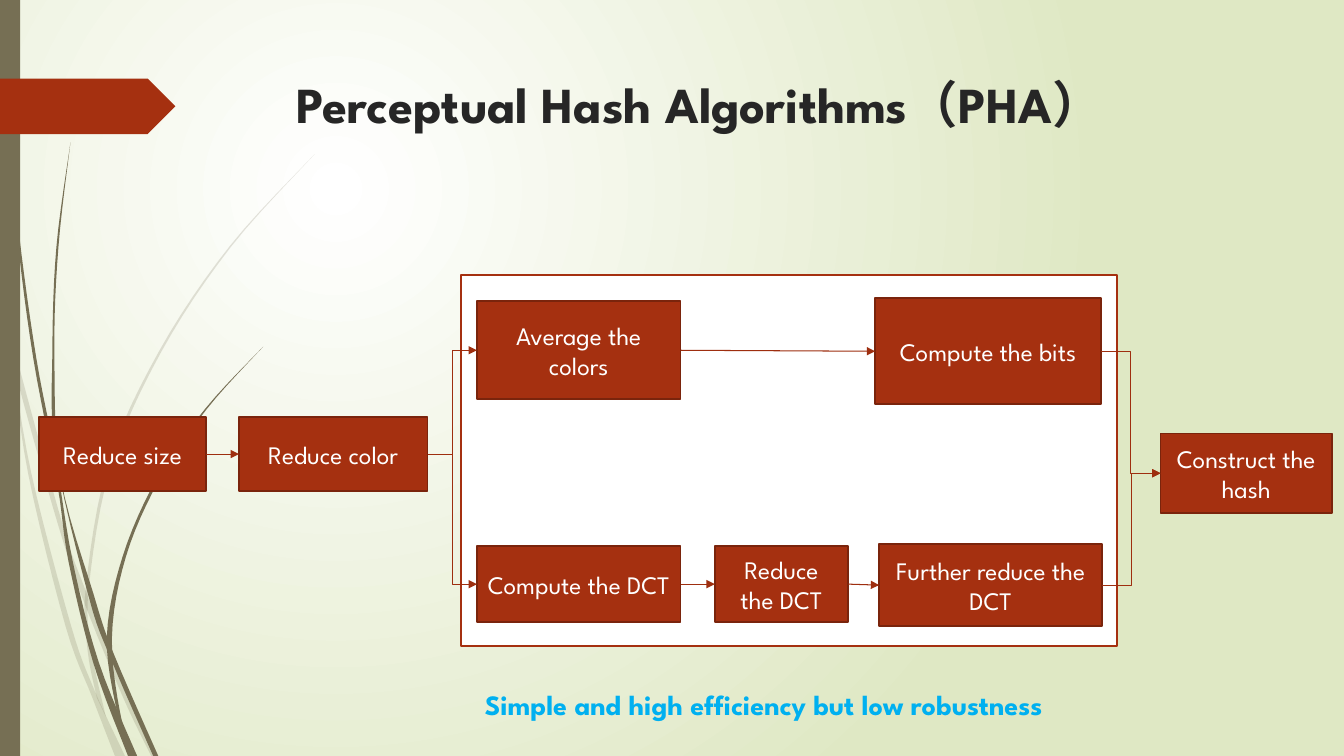
"""Builds the slide on perceptual hash algorithms as a flow chart."""
import dataclasses

import lxml.etree
import pptx
import pptx.dml.color
import pptx.enum.dml
import pptx.enum.shapes
import pptx.enum.text
import pptx.oxml.ns
import pptx.util

Inches = pptx.util.Inches
qn = pptx.oxml.ns.qn
SHAPES = pptx.enum.shapes.MSO_SHAPE
CONNECTORS = pptx.enum.shapes.MSO_CONNECTOR
ALIGN = pptx.enum.text.PP_ALIGN
ANCHOR = pptx.enum.text.MSO_ANCHOR


@dataclasses.dataclass(frozen=True)
class Theme:
    """Colours, font and type sizes."""
    font: str = "League Spartan"
    title_size: int = 36
    note_size: int = 20
    box_size: int = 18
    title: str = "262626"
    note: str = "00B0F0"
    white: str = "FFFFFF"
    backdrop: str = "DFE8C4"
    stem: str = "766F54"
    accent: str = "A53010"
    box_edge: str = "7A240C"
    arrow: str = "9E2E0F"


def rgb(value):
    """Turn a hexadecimal string into a colour."""
    return pptx.dml.color.RGBColor.from_string(value)


def write_text(shape, text, *, font, size, color, bold=False, align=ALIGN.LEFT, anchor=ANCHOR.TOP):
    """Write one formatted paragraph into a shape."""
    frame = shape.text_frame
    frame.word_wrap = True
    frame.vertical_anchor = anchor
    paragraph = frame.paragraphs[0]
    paragraph.alignment = align
    run = paragraph.add_run()
    run.text = text
    run.font.name = font
    run.font.size = pptx.util.Pt(size)
    run.font.bold = bold
    run.font.color.rgb = rgb(color)


def smooth_curve(points, steps=6):
    """Sample a Catmull-Rom curve through the points."""
    padded = [points[0], *points, points[-1]]
    curve = [points[0]]
    for a, b, c, d in zip(padded, padded[1:], padded[2:], padded[3:]):
        for step in range(1, steps + 1):
            t = step / steps
            curve.append(tuple(
                (2 * q + (r - p) * t + (2 * p - 5 * q + 4 * r - s) * t ** 2
                 + (3 * q - p - 3 * r + s) * t ** 3) / 2
                for p, q, r, s in zip(a, b, c, d)))
    return curve


class SlideBuilder:
    """Holds the theme and the current slide."""

    def __init__(self, slide, theme):
        self.slide = slide
        self.theme = theme

    def background(self):
        """Fill the background with a radial gradient."""
        fill = self.slide.background.fill
        fill.gradient()
        colors = (self.theme.white, self.theme.backdrop)
        for stop, color, position in zip(fill.gradient_stops, colors, (0, 1)):
            stop.color.rgb = rgb(color)
            stop.position = position
        linear = self.slide.element.find(".//" + qn("a:lin"))
        gradient = linear.getparent()
        gradient.remove(linear)
        circle = lxml.etree.SubElement(gradient, qn("a:path"), {"path": "circle"})
        lxml.etree.SubElement(circle, qn("a:fillToRect"),
                              {"l": "50000", "t": "50000", "r": "100000", "b": "100000"})

    def paint(self, shape, fill, edge=None):
        """Set a flat fill and an optional outline."""
        shape.shadow.inherit = False
        shape.fill.solid()
        shape.fill.fore_color.rgb = rgb(fill)
        if edge:
            shape.line.color.rgb = rgb(edge)
            shape.line.width = pptx.util.Pt(1.25)
        else:
            shape.line.fill.background()

    def shape(self, kind, bounds, fill, edge=None):
        """Add a preset shape."""
        shape = self.slide.shapes.add_shape(kind, *map(Inches, bounds))
        self.paint(shape, fill, edge)
        return shape

    def stem(self, right_side, left_side, opacity=None):
        """Add a curved, tapered grass stem."""
        outline = [(Inches(x), Inches(y))
                   for x, y in smooth_curve(right_side) + smooth_curve(left_side)]
        builder = self.slide.shapes.build_freeform(*outline[0])
        builder.add_line_segments(outline[1:], close=True)
        shape = builder.convert_to_shape()
        self.paint(shape, self.theme.stem)
        if opacity:
            color = shape.element.spPr.find(qn("a:solidFill"))[0]
            lxml.etree.SubElement(color, qn("a:alpha"), {"val": str(opacity * 1000)})

    def title(self, text, bounds):
        """Place and fill the title placeholder."""
        title = self.slide.shapes.title
        title.left, title.top, title.width, title.height = map(Inches, bounds)
        write_text(title, text, font=self.theme.font, size=self.theme.title_size,
                   color=self.theme.title, bold=True)

    def note(self, text, bounds):
        """Add a highlighted line of text."""
        box = self.slide.shapes.add_textbox(*map(Inches, bounds))
        write_text(box, text, font=self.theme.font, size=self.theme.note_size,
                   color=self.theme.note, bold=True)

    def box(self, text, bounds):
        """Add a labelled step."""
        box = self.shape(SHAPES.RECTANGLE, bounds, self.theme.accent, self.theme.box_edge)
        write_text(box, text, font=self.theme.font, size=self.theme.box_size,
                   color=self.theme.white, align=ALIGN.CENTER, anchor=ANCHOR.MIDDLE)
        return box

    def arrow(self, source, target, kind=CONNECTORS.STRAIGHT):
        """Join the right side of one step to the left side of the next."""
        connector = self.slide.shapes.add_connector(kind, 0, 0, 0, 0)
        connector.begin_connect(source, 3)
        connector.end_connect(target, 1)
        connector.line.color.rgb = rgb(self.theme.arrow)
        connector.line.width = pptx.util.Pt(0.75)
        properties = connector.element.spPr
        lxml.etree.SubElement(properties.find(qn("a:ln")), qn("a:tailEnd"), {"type": "triangle"})
        lxml.etree.SubElement(properties, qn("a:effectLst"))


PALE_STEMS = [
    ([(0, 2.82), (0.14, 3.45), (0.62, 5.2), (0.85, 5.86), (1.27, 6.92), (1.55, 7.5)],
     [(1.5, 7.5), (1.23, 6.94), (0.84, 5.99), (0.58, 5.22), (0.17, 3.76), (0, 2.99)]),
    ([(0.11, 3.5), (0.31, 4.69), (0.7, 6.19), (0.93, 6.83), (1.24, 7.5)],
     [(1.14, 7.5), (0.92, 6.93), (0.65, 6.21), (0.28, 4.7), (0.11, 3.5)]),
    ([(3.12, 1.53), (2.29, 2.45), (1.6, 3.49), (1.1, 4.62), (0.88, 5.84), (0.91, 6.46), (1.05, 7.11)],
     [(0.96, 6.92), (0.87, 6.46), (0.85, 5.84), (1.07, 4.61), (1.58, 3.48), (2.28, 2.44), (3.12, 1.53)]),
]
DARK_STEMS = [
    ([(0.04, 0), (0.08, 1.09), (0.19, 2.32), (0.36, 3.55), (0.55, 4.53), (0.72, 5.56), (0.98, 6.57),
      (1.36, 7.5)],
     [(1.27, 7.5), (0.93, 6.59), (0.68, 5.57), (0.57, 4.81), (0.33, 3.55), (0.17, 2.33), (0.07, 1.1),
      (0.03, 0)]),
    ([(0.7, 1.41), (0.58, 2.45), (0.54, 3.49), (0.6, 4.72), (0.93, 5.9), (1.13, 6.49), (1.57, 7.5)],
     [(1.52, 7.5), (1.11, 6.56), (0.88, 5.92), (0.55, 4.49), (0.52, 3.49), (0.56, 2.45), (0.7, 1.41)]),
    ([(2.61, 3.44), (2.05, 4.06), (1.58, 4.76), (1.25, 5.52), (1.11, 6.33), (1.21, 7.16), (1.36, 7.5)],
     [(1.3, 7.5), (1.16, 7.06), (1.06, 6.31), (1.22, 5.51), (1.56, 4.74), (2.04, 4.05), (2.61, 3.44)]),
]


def main():
    """Build and save the slide."""
    presentation = pptx.Presentation()
    presentation.slide_width, presentation.slide_height = Inches(13.33), Inches(7.5)
    theme = Theme()
    builder = SlideBuilder(presentation.slides.add_slide(presentation.slide_layouts[5]), theme)
    builder.background()
    for sides in PALE_STEMS:
        builder.stem(*sides, opacity=20)
    for sides in DARK_STEMS:
        builder.stem(*sides)
    builder.shape(SHAPES.RECTANGLE, (0, 0, 0.2, 7.5), theme.stem)
    builder.shape(SHAPES.PENTAGON, (0, 0.78, 1.74, 0.55), theme.accent)
    builder.shape(SHAPES.RECTANGLE, (4.57, 2.73, 6.51, 3.68), theme.white, theme.accent)
    builder.title("Perceptual Hash Algorithms（PHA）", (2.84, 0.68, 9.75, 1.4))

    size = builder.box("Reduce size", (0.39, 4.14, 1.65, 0.73))
    color = builder.box("Reduce color", (2.37, 4.14, 1.87, 0.73))
    average = builder.box("Average the colors", (4.73, 2.99, 2.02, 0.97))
    bits = builder.box("Compute the bits", (8.68, 2.96, 2.24, 1.05))
    construct = builder.box("Construct the hash", (11.51, 4.3, 1.7, 0.79))
    compute = builder.box("Compute the DCT", (4.73, 5.42, 2.02, 0.75))
    reduce = builder.box("Reduce the DCT", (7.09, 5.42, 1.32, 0.75))
    further = builder.box("Further reduce the DCT", (8.72, 5.4, 2.21, 0.81))
    builder.note("Simple and high efficiency but low robustness", (4.71, 6.77, 6.38, 0.44))

    for source, target in ((size, color), (average, bits), (compute, reduce), (reduce, further)):
        builder.arrow(source, target)
    for source, target in ((color, average), (color, compute), (bits, construct), (further, construct)):
        builder.arrow(source, target, CONNECTORS.ELBOW)
    presentation.save("out.pptx")


if __name__ == "__main__":
    main()
